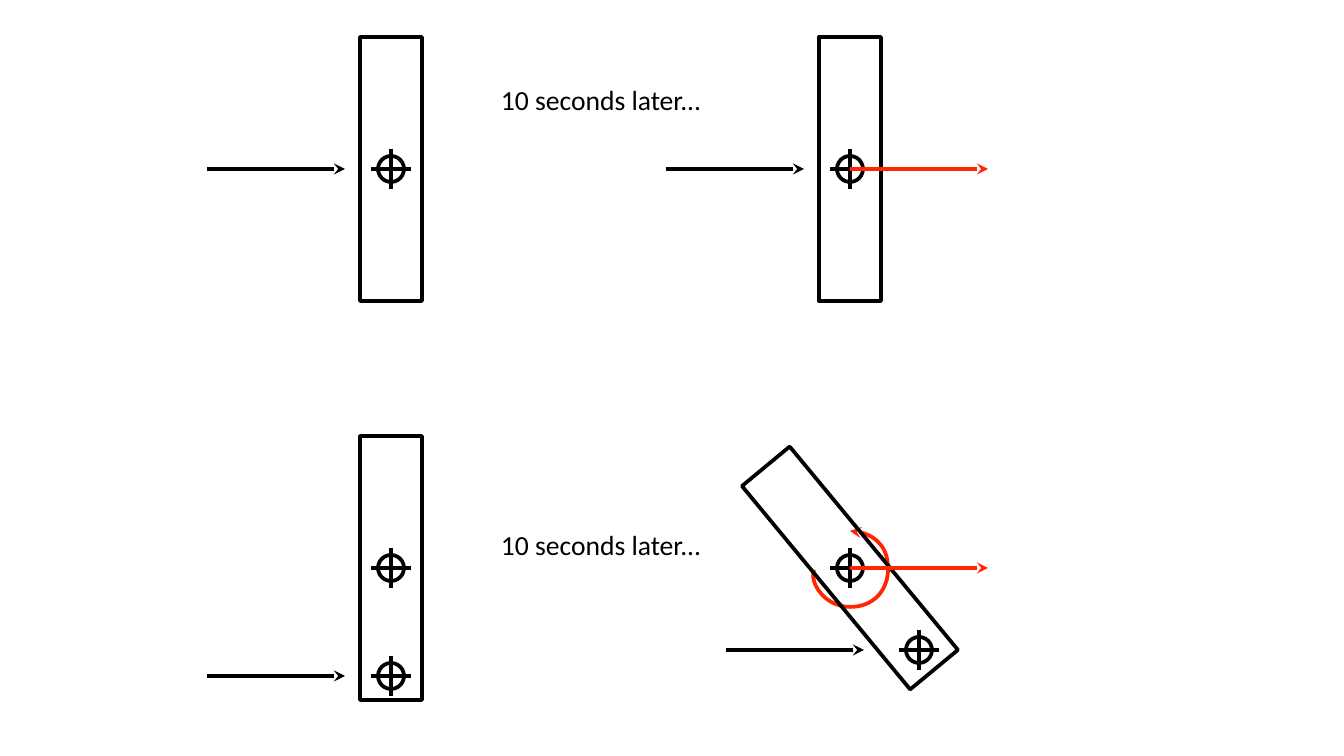
from lxml import etree
from pptx import Presentation
from pptx.dml.color import RGBColor
from pptx.enum.shapes import MSO_CONNECTOR, MSO_SHAPE
from pptx.enum.text import MSO_ANCHOR, MSO_AUTO_SIZE
from pptx.oxml.ns import qn
from pptx.util import Pt

EMU_PER_PX = 914400 / 134.4
STRAIGHT = MSO_CONNECTOR.STRAIGHT
RECTANGLE = MSO_SHAPE.RECTANGLE
OVAL = MSO_SHAPE.OVAL
MIDDLE = MSO_ANCHOR.MIDDLE
FIT_SHAPE = MSO_AUTO_SIZE.SHAPE_TO_FIT_TEXT

BLACK = "000000"
RED = "FF2600"
BAR_WIDTH, BAR_HEIGHT = 62, 264
RING_SIZE, CROSS_REACH = 26, 20
ARROW_LENGTH = 138
LEFT_X, RIGHT_X = 391, 850
TOP_Y, BOTTOM_Y = 169, 568


def px(length):
    return round(length * EMU_PER_PX)


def color(value):
    return RGBColor.from_string(value)


class Diagram:
    font = "Calibri"
    font_size = Pt(14.8)
    line_width = Pt(2)

    def __init__(self, page):
        self.shapes = page.shapes

    def outline(self, shape, ink, head=False):
        shape.line.color.rgb = color(ink)
        shape.line.width = self.line_width
        if head:
            line = shape.line._get_or_add_ln()
            etree.SubElement(line, qn("a:headEnd"), type="stealth")

    def hollow(self, kind, center_x, center_y, width, height):
        shape = self.shapes.add_shape(
            kind, px(center_x - width / 2), px(center_y - height / 2), px(width), px(height))
        shape.shadow.inherit = False
        shape.fill.background()
        self.outline(shape, BLACK)
        return shape

    def line(self, start, end, ink=BLACK, head=False):
        connector = self.shapes.add_connector(STRAIGHT, *map(px, start + end))
        self.outline(connector, ink, head)
        etree.SubElement(connector._element.spPr, qn("a:effectLst"))

    def bar(self, x, y, rotation=0):
        self.hollow(RECTANGLE, x, y, BAR_WIDTH, BAR_HEIGHT).rotation = rotation

    def target(self, x, y):
        self.hollow(OVAL, x, y, RING_SIZE, RING_SIZE)
        self.line((x, y - CROSS_REACH), (x, y + CROSS_REACH))
        self.line((x + CROSS_REACH, y), (x - CROSS_REACH, y))

    def arrow(self, tail_x, y, ink=BLACK):
        self.line((tail_x + ARROW_LENGTH, y), (tail_x, y), ink, True)

    def curved_arrow(self, start, curves, ink):
        ends = [curve[-1] for curve in curves]
        builder = self.shapes.build_freeform(*start, scale=EMU_PER_PX)
        builder.add_line_segments(ends, close=False)
        shape = builder.convert_to_shape()
        left = min(x for x, y in [start] + ends)
        top = min(y for x, y in [start] + ends)
        segments = list(shape._element.iter(qn("a:lnTo")))
        for segment, curve in zip(segments, curves):
            bezier = etree.Element(qn("a:cubicBezTo"))
            for x, y in curve:
                etree.SubElement(bezier, qn("a:pt"), x=str(x - left), y=str(y - top))
            segment.getparent().replace(segment, bezier)
        shape.shadow.inherit = False
        shape.fill.background()
        self.outline(shape, ink, True)

    def label(self, text, left, top, width, height):
        box = self.shapes.add_textbox(px(left), px(top), px(width), px(height))
        frame = box.text_frame
        frame.text = text
        frame.word_wrap = False
        frame.auto_size = FIT_SHAPE
        frame.vertical_anchor = MIDDLE
        frame.margin_left = frame.margin_right = px(4)
        frame.margin_top = frame.margin_bottom = px(4)
        font = frame.paragraphs[0].runs[0].font
        font.name = self.font
        font.size = self.font_size
        font.color.rgb = color(BLACK)


def main():
    deck = Presentation()
    deck.slide_width, deck.slide_height = px(1344), px(756)
    diagram = Diagram(deck.slides.add_slide(deck.slide_layouts[6]))

    for x in (LEFT_X, RIGHT_X):
        diagram.bar(x, TOP_Y)
        diagram.target(x, TOP_Y)
        diagram.arrow(x - 184, TOP_Y)

    diagram.bar(LEFT_X, BOTTOM_Y)
    diagram.curved_arrow((850, 531), [
        [(872, 531), (888, 548), (888, 569)],
        [(888, 589), (875, 607), (850, 607)],
        [(825, 607), (809, 583), (814, 570)],
    ], RED)
    diagram.bar(RIGHT_X, BOTTOM_Y, 320.4)
    for x, y in ((LEFT_X, BOTTOM_Y), (LEFT_X, 676), (RIGHT_X, BOTTOM_Y), (919, 650)):
        diagram.target(x, y)
    diagram.arrow(207, 676)
    diagram.arrow(726, 650)

    for y in (TOP_Y, BOTTOM_Y):
        diagram.arrow(RIGHT_X, y, RED)
    for top in (78, 524):
        diagram.label("10 seconds later...", 497, top, 211, 42)

    deck.save("out.pptx")


if __name__ == "__main__":
    main()
